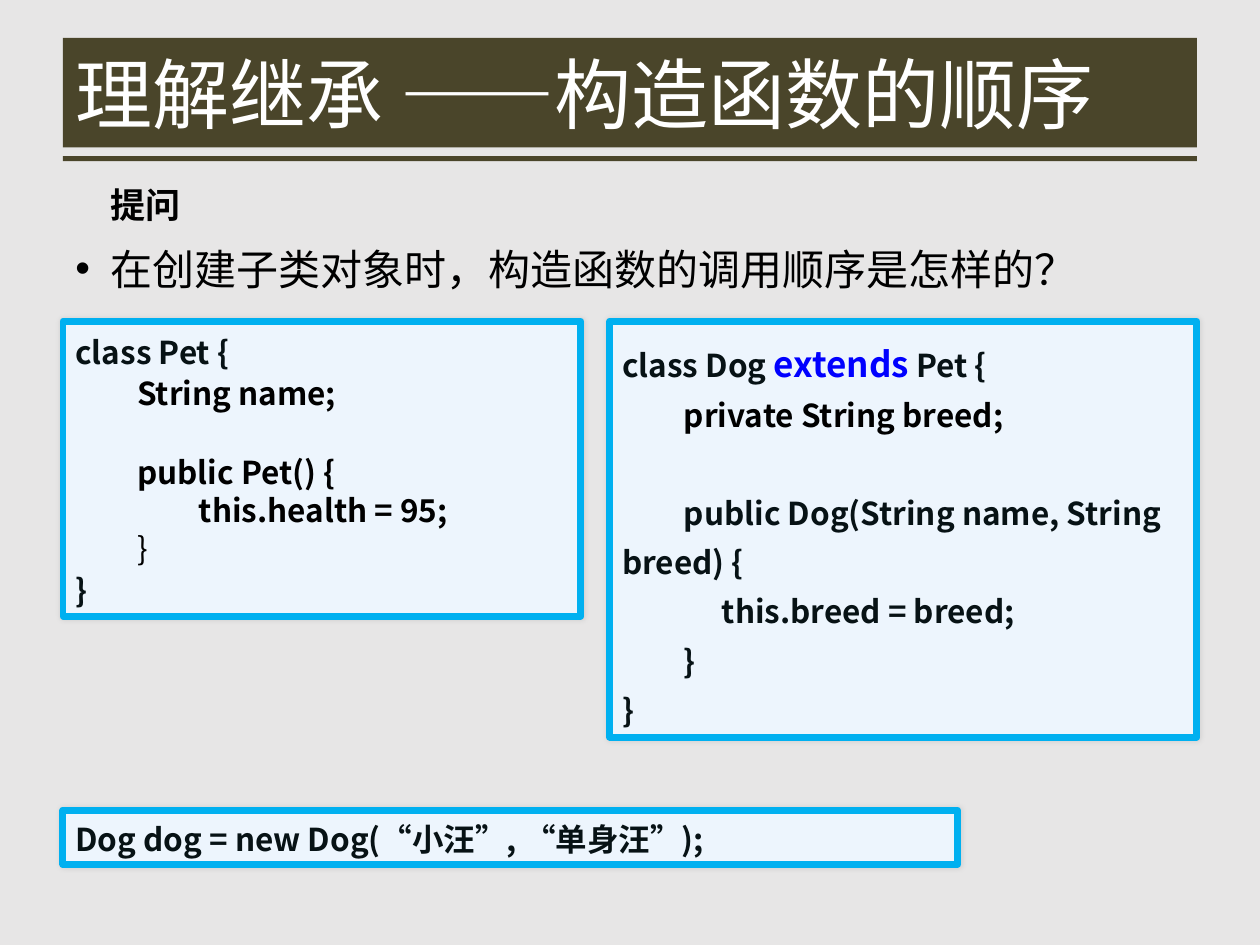
from lxml import etree
from pptx import Presentation
from pptx.dml.color import RGBColor
from pptx.enum.lang import MSO_LANGUAGE_ID as Lang
from pptx.enum.shapes import MSO_SHAPE as Kind
from pptx.enum.text import MSO_ANCHOR as Anchor, PP_ALIGN as Align
from pptx.oxml import parse_xml
from pptx.oxml.ns import nsdecls, qn
from pptx.util import Inches, Pt

FACE = "Noto Sans CJK SC"
INK, BLACK, BLUE, OLIVE = "071215", "000000", "0000FF", "4A452A"


def tint(code):
    return RGBColor.from_string(code)


def glow(alpha, blur, dist):
    return parse_xml(
        f'<a:effectLst {nsdecls("a")}><a:outerShdw blurRad="{Pt(blur)}" '
        f'dist="{Pt(dist)}" dir="2700000" algn="ctr" rotWithShape="0">'
        f'<a:srgbClr val="000000"><a:alpha val="{alpha * 1000}"/></a:srgbClr>'
        '</a:outerShdw></a:effectLst>')


def style(run, size, color, bold=False):
    font = run.font
    font.size, font.bold, font.name = Pt(size), bold, FACE
    font.color.rgb = tint(color)
    font.language_id = Lang.SIMPLIFIED_CHINESE
    latin = font._element.find(qn("a:latin"))
    east = etree.Element(qn("a:ea"), typeface=FACE)
    latin.addnext(east)


def block(slide, kind, box, fill):
    shape = slide.shapes.add_shape(kind, *map(Inches, box))
    shape.shadow.inherit = False
    shape.fill.solid()
    shape.fill.fore_color.rgb = tint(fill)
    shape.line.fill.background()
    return shape


def header(slide, box, text):
    left, top, width, height = box
    bar = block(slide, Kind.RECTANGLE, box, OLIVE)
    block(slide, Kind.RECTANGLE, (left, top + height + 0.07, width, 0.04), OLIVE)
    frame = bar.text_frame
    frame.text = text
    frame.vertical_anchor = Anchor.MIDDLE
    para = frame.paragraphs[0]
    para.alignment = Align.LEFT
    style(para.runs[0], 44, "FFFFFF")


def label(slide, box, text):
    frame = slide.shapes.add_textbox(*map(Inches, box)).text_frame
    frame.word_wrap = False
    frame.text = text
    run = frame.paragraphs[0].runs[0]
    style(run, 20, BLACK, True)
    run.font._element.find(qn("a:solidFill")).addnext(glow(43, 3, 3))


def bullet(slide, box, text):
    frame = slide.shapes.add_textbox(*map(Inches, box)).text_frame
    frame.word_wrap = True
    frame.text = text
    para = frame.paragraphs[0]
    props = para._p.get_or_add_pPr()
    props.set("marL", str(Inches(0.28)))
    props.set("indent", str(Inches(-0.28)))
    etree.SubElement(props, qn("a:buFont"), typeface="Arial")
    etree.SubElement(props, qn("a:buChar"), char="•")
    style(para.runs[0], 24, BLACK)


def code(slide, box, lines, tabs=(0.49, 0.98), gap=0):
    shape = block(slide, Kind.ROUNDED_RECTANGLE, box, "EDF5FD")
    shape.adjustments[0] = 0
    shape.line.color.rgb = tint("00B0F0")
    shape.line.width = Pt(4)
    props = shape._element.spPr
    props.replace(props.find(qn("a:effectLst")), glow(10, 3, 0))
    frame = shape.text_frame
    frame.word_wrap = True
    frame.vertical_anchor = Anchor.MIDDLE
    for i, (space, after, runs) in enumerate(lines):
        para = frame.paragraphs[0] if i == 0 else frame.add_paragraph()
        stops = etree.SubElement(para._p.get_or_add_pPr(), qn("a:tabLst"))
        for tab in tabs:
            etree.SubElement(stops, qn("a:tab"), pos=str(Inches(tab)), algn="l")
        para.alignment = Align.LEFT
        para.line_spacing = space
        para.space_after = Pt(gap if after else 0)
        for text, size, color, bold in runs:
            run = para.add_run()
            run.text = text
            style(run, size, color, bold)


def line(text, space, color=INK, bold=True, after=False):
    return space, after, [(text, 18, color, bold)]


def main():
    deck = Presentation()
    deck.slide_width, deck.slide_height = Inches(10), Inches(7.5)
    slide = deck.slides.add_slide(deck.slide_layouts[6])
    back = slide.background.fill
    back.solid()
    back.fore_color.rgb = tint("E7E6E6")

    header(slide, (0.5, 0.3, 9, 0.87), "理解继承 ——构造函数的顺序")
    bullet(slide, (0.5, 1.88, 9, 0.77), "在创建子类对象时，构造函数的调用顺序是怎样的？")
    label(slide, (0.78, 1.41, 0.77, 0.44), "提问")
    code(slide, (0.5, 2.55, 4.11, 2.34), [
        line("class Pet {", 1.1),
        line("\tString name;", 1.1, BLACK, after=True),
        line("\tpublic Pet() {", 1, BLACK),
        line("\t\tthis.health = 95;", 1, BLACK),
        line("\t}", 1, BLACK, False),
        line("}", 1.1),
    ], gap=23.5)
    code(slide, (4.84, 2.55, 4.66, 3.3), [
        (1.3, False, [("class Dog ", 18, INK, True), ("extends", 20, BLUE, True),
                      (" Pet {", 18, INK, True)]),
        line("\tprivate String breed;", 1.3, BLACK, after=True),
        line("\tpublic Dog(String name, String breed) {", 1.3),
        line("\t\tthis.breed = breed;", 1.3),
        line("\t}", 1.3),
        line("}", 1.3),
    ], (0.49, 0.79), 28.25)
    code(slide, (0.5, 6.43, 7.1, 0.43),
         [line("Dog dog = new Dog(“小汪”, “单身汪”);", 1.1)])
    deck.save("out.pptx")


if __name__ == "__main__":
    main()
